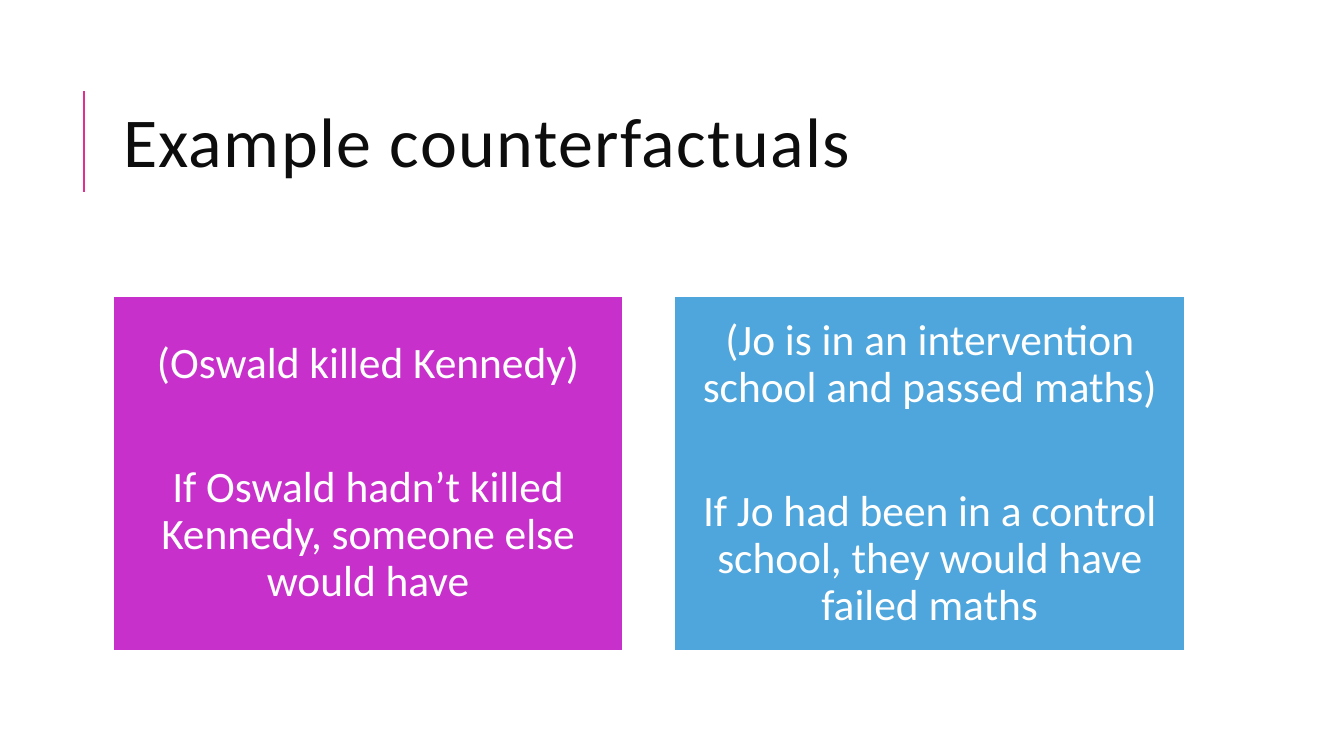
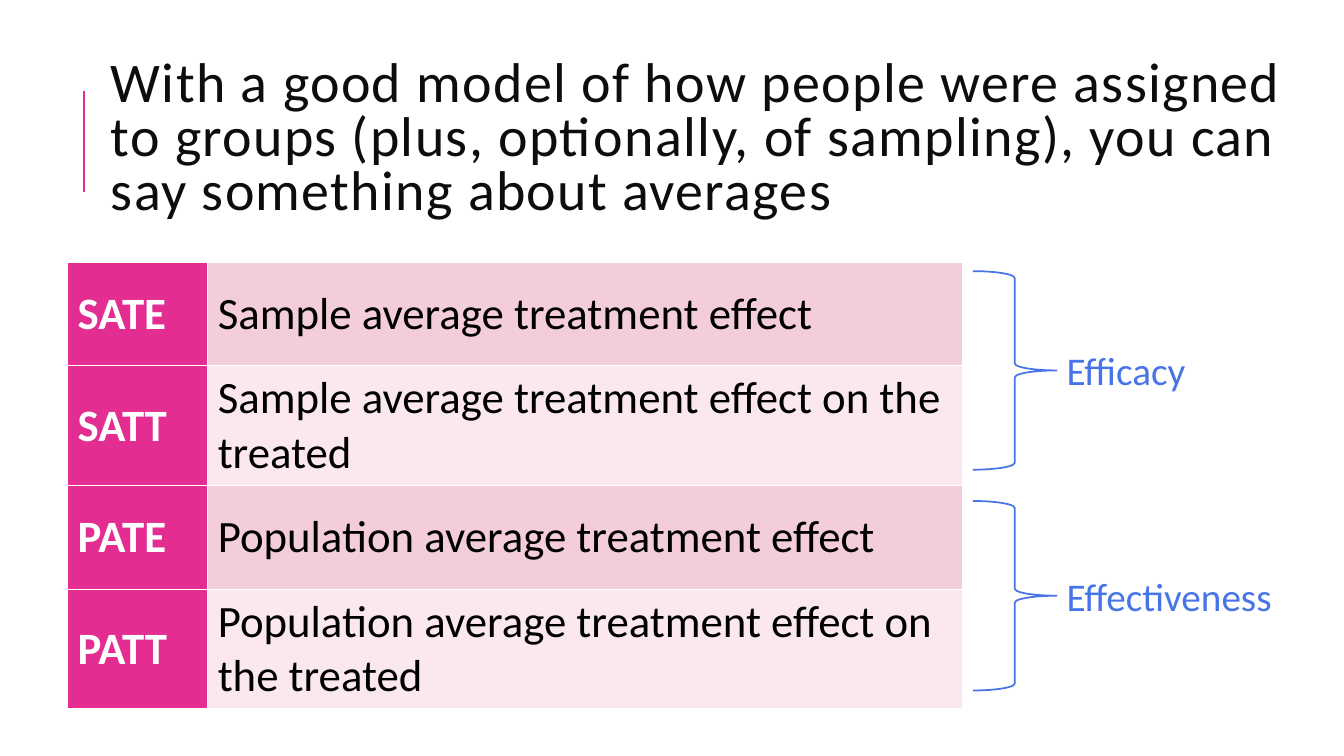
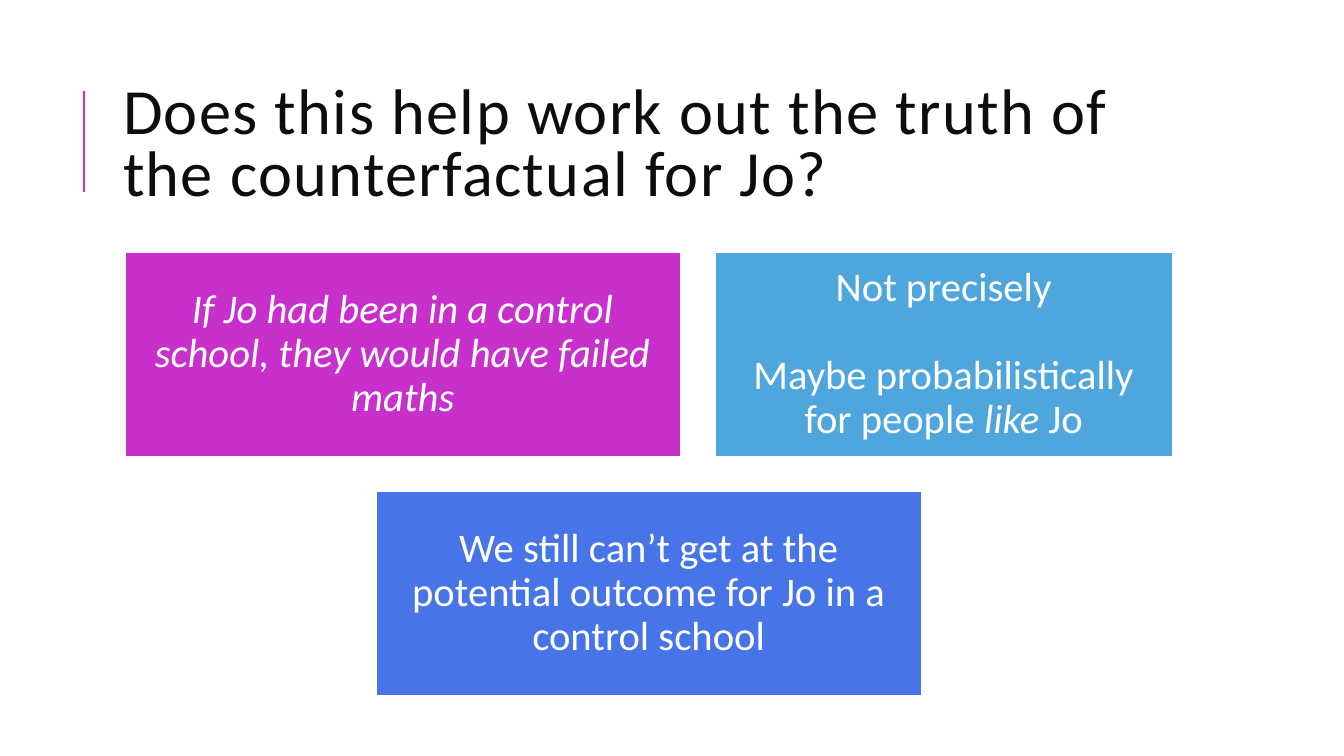
from lxml.etree import SubElement as Sub
from pptx import Presentation
from pptx.dml.color import RGBColor
from pptx.enum.shapes import MSO_CONNECTOR as Conn, MSO_SHAPE as Kind
from pptx.enum.text import MSO_ANCHOR as Anchor, MSO_AUTO_SIZE as Fit, PP_ALIGN as Align
from pptx.oxml.ns import qn
from pptx.util import Inches, Pt

FONT = "Calibri"
WHITE, BLACK, INK = "FFFFFF", "000000", "0D0D0D"
PINK, PURPLE, SKY, BLUE = "E32D91", "C830CC", "4EA6DC", "4775E7"
BANDS = "F4CDDC", "FAE8EE"
LEFT, WIDE = 1.12, 10.63  # content column


def color(code):
    return RGBColor.from_string(code)


class Deck:
    def __init__(self):
        self.prs = Presentation()
        self.prs.slide_width = Inches(13.33)
        self.prs.slide_height = Inches(7.5)
        self.slide = None

    def style(self, para, size, tint, bold=False):
        for run in para.runs:
            font = run.font
            font.name, font.size, font.bold = FONT, Pt(size), bold
            font.color.rgb = color(tint)

    def line(self, shape, tint, width):
        shape.line.color.rgb = color(tint)
        shape.line.width = Pt(width)

    # New slide with the accent rule and its title
    def page(self, text, size, left=LEFT, top=0.64, width=WIDE):
        self.slide = self.prs.slides.add_slide(self.prs.slide_layouts[5])
        rule = self.slide.shapes.add_connector(
            Conn.STRAIGHT, Inches(0.83), Inches(1.9), Inches(0.83), Inches(0.9))
        self.line(rule, PINK, 1.5)
        Sub(rule._element.spPr, qn("a:effectLst"))
        title = self.slide.shapes.title
        title.left, title.top = Inches(left), Inches(top)
        title.width, title.height = Inches(width), Inches(1.64)
        frame = title.text_frame
        frame.text = text
        frame.word_wrap, frame.auto_size = True, Fit.NONE
        frame.vertical_anchor = Anchor.MIDDLE
        para = frame.paragraphs[0]
        para.alignment, para.line_spacing = Align.LEFT, 0.8
        self.style(para, size, INK)
        for run in para.runs:
            run.font._element.set("spc", "100")

    # Filled box; text between asterisks is italic
    def box(self, left, top, width, height, fill, texts, size, pad, space):
        shape = self.slide.shapes.add_shape(
            Kind.RECTANGLE, Inches(left), Inches(top), Inches(width), Inches(height))
        shape.shadow.inherit = False
        shape.fill.solid()
        shape.fill.fore_color.rgb = color(fill)
        self.line(shape, WHITE, 1.25)
        frame = shape.text_frame
        frame.word_wrap, frame.vertical_anchor = True, Anchor.MIDDLE
        frame.margin_left = frame.margin_right = Inches(pad)
        frame.margin_top = frame.margin_bottom = Inches(pad)
        for i, text in enumerate(texts):
            para = frame.add_paragraph() if i else frame.paragraphs[0]
            para.alignment, para.line_spacing = Align.CENTER, 0.9
            para.space_before = Pt(space if i else 0)
            for j, part in enumerate(text.split("*")):
                if part:
                    run = para.add_run()
                    run.text, run.font.italic = part, j % 2 == 1
            self.style(para, size, WHITE)

    # Row of boxes centred in the content column
    def row(self, top, height, gap, items, **look):
        total = sum(item[0] for item in items) + gap * (len(items) - 1)
        left = LEFT + (WIDE - total) / 2
        for width, fill, texts in items:
            self.box(left, top, width, height, fill, texts, **look)
            left += width + gap

    def edge(self, cell):
        props = cell._tc.get_or_add_tcPr()
        for side in ("lnL", "lnR", "lnT", "lnB"):
            ln = Sub(props, qn("a:" + side), w=str(Pt(1)))
            Sub(Sub(ln, qn("a:solidFill")), qn("a:srgbClr"), val=WHITE)

    # Table with a dark first column and banded rows
    def table(self, left, top, widths, height, rows):
        table = self.slide.shapes.add_table(
            len(rows), len(widths), Inches(left), Inches(top),
            Inches(sum(widths)), Inches(height * len(rows))).table
        for col, width in zip(table.columns, widths):
            col.width = Inches(width)
        for i, texts in enumerate(rows):
            for j, text in enumerate(texts):
                cell, head = table.cell(i, j), j == 0
                cell.text = text
                cell.vertical_anchor = Anchor.MIDDLE
                self.edge(cell)
                cell.fill.solid()
                cell.fill.fore_color.rgb = color(PINK if head else BANDS[i % 2])
                self.style(cell.text_frame.paragraphs[0], 32,
                           WHITE if head else BLACK, head)

    # Brace with a label at its tip
    def brace(self, top, height, text, width, label):
        left, span = 9.65, 0.83
        shape = self.slide.shapes.add_shape(
            Kind.RIGHT_BRACE, Inches(left), Inches(top), Inches(span), Inches(height))
        shape.shadow.inherit = False
        shape.fill.background()
        self.line(shape, BLUE, 1.25)
        note = self.slide.shapes.add_textbox(
            Inches(left + span), Inches(label), Inches(width), Inches(0.57))
        frame = note.text_frame
        frame.text = text
        frame.word_wrap, frame.auto_size = False, Fit.SHAPE_TO_FIT_TEXT
        self.style(frame.paragraphs[0], 28, BLUE)


def main():
    deck = Deck()

    # Two examples
    deck.page("Example counterfactuals", 50)
    deck.row(2.94, 3.52, 0.51, [
        (5.06, PURPLE, ["(Oswald killed Kennedy)",
                        "If Oswald hadn’t killed Kennedy, someone else would have"]),
        (5.06, SKY, ["(Jo is in an intervention school and passed maths)",
                     "If Jo had been in a control school, they would have failed maths"]),
    ], size=31, pad=0.13, space=55)

    # Kinds of average effect
    deck.page("With a good model of how people were assigned to groups (plus, "
              "optionally, of sampling), you can say something about averages",
              40, left=1, top=0.57, width=12.21)
    deck.table(0.67, 2.6, [1.39, 7.49], 1.03, [
        ("SATE", "Sample average treatment effect"),
        ("SATT", "Sample average treatment effect on the treated"),
        ("PATE", "Population average treatment effect"),
        ("PATT", "Population average treatment effect on the treated"),
    ])
    deck.brace(2.69, 1.97, "Efficacy", 1.48, 3.39)
    deck.brace(4.97, 1.88, "Effectiveness", 2.36, 5.63)

    # Answer for one person
    deck.page("Does this help work out the truth of the counterfactual for Jo?", 46)
    look = dict(size=29, pad=0.12, space=32)
    high, gap, top = 2.03, 0.34, 2.5
    deck.row(top, high, gap, [
        (5.51, PURPLE, ["*If Jo had been in a control school, they would have failed maths*"]),
        (4.54, SKY, ["Not precisely", "Maybe probabilistically for people *like* Jo"]),
    ], **look)
    deck.row(top + high + gap, high, gap, [
        (5.41, BLUE, ["We still can’t get at the potential outcome for Jo in a control school"]),
    ], **look)

    deck.prs.save("out.pptx")


if __name__ == "__main__":
    main()
